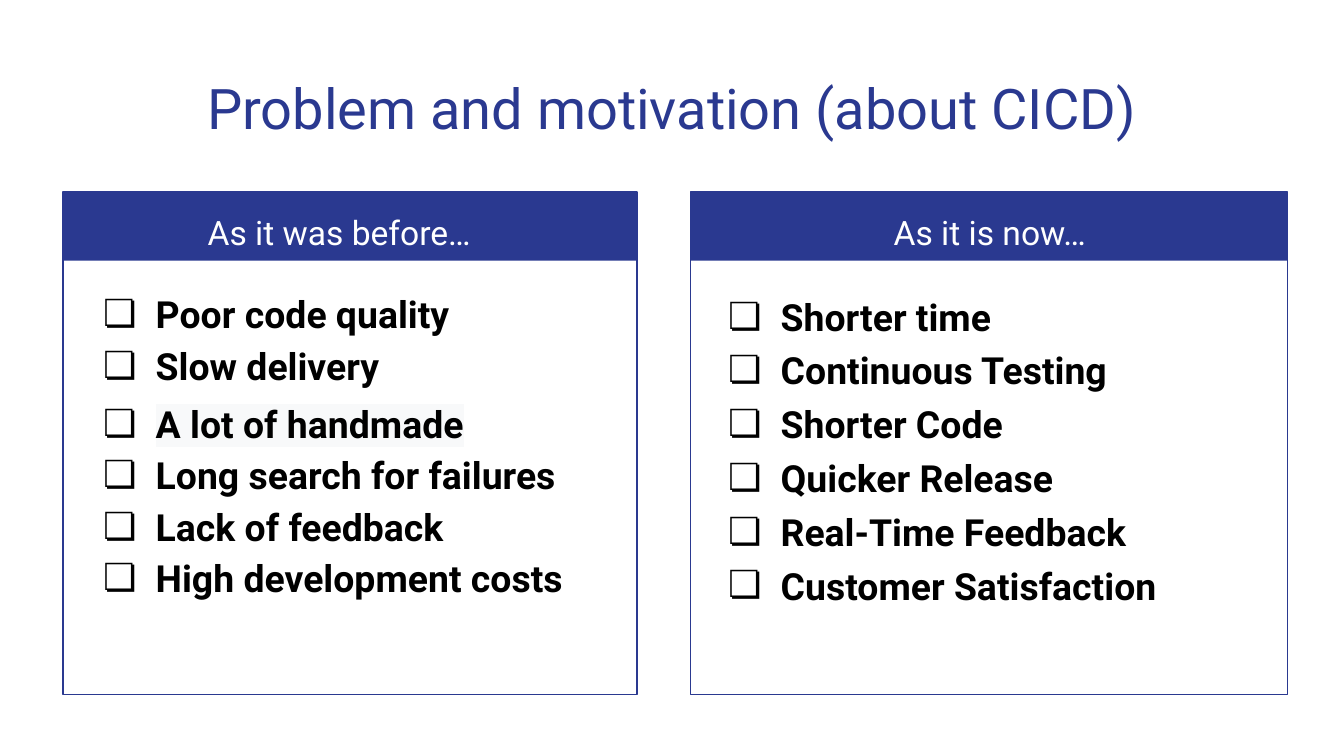
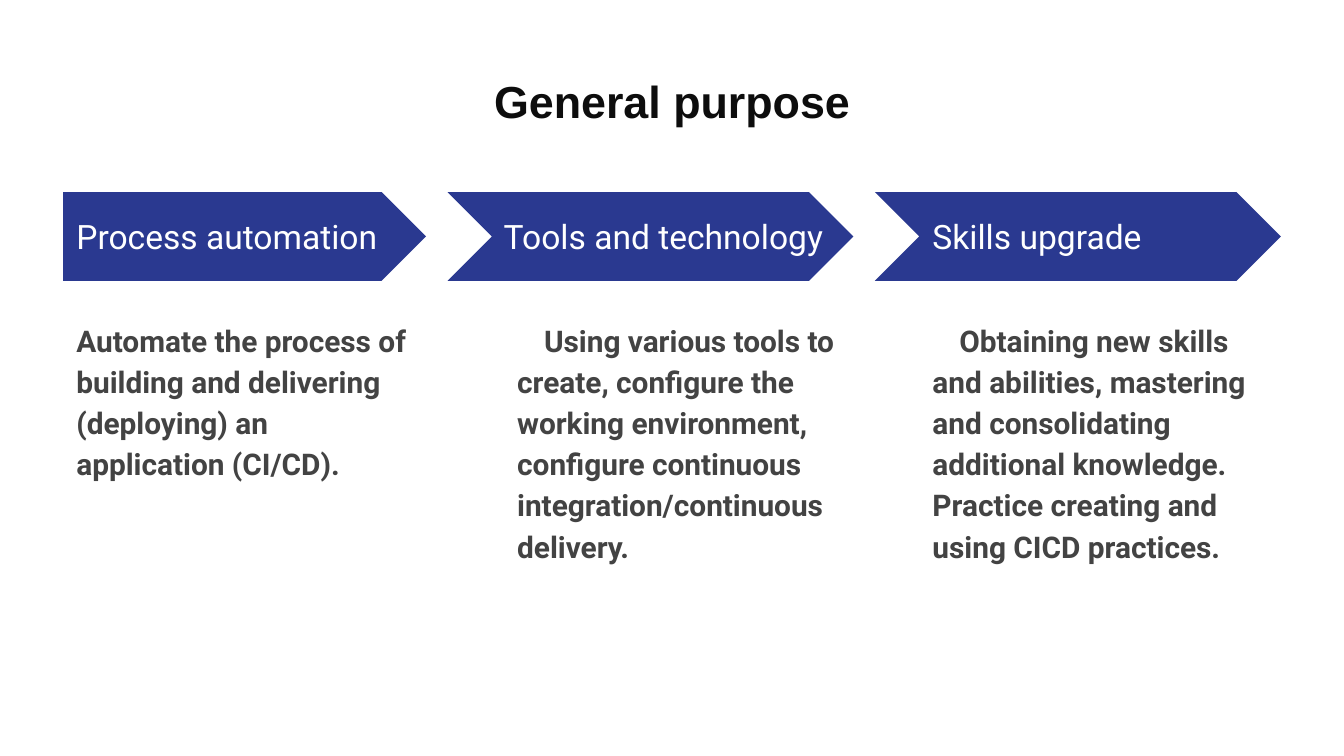
"""Build two slides on the motive and the purpose of CICD."""
from dataclasses import dataclass
from typing import Optional

from lxml.etree import SubElement as Sub
from pptx import Presentation as Deck
from pptx.dml.color import RGBColor as Rgb
from pptx.enum.shapes import MSO_SHAPE as Form
from pptx.enum.text import MSO_ANCHOR as Anchor, PP_ALIGN as Align
from pptx.oxml.ns import qn
from pptx.util import Inches, Pt

HUES = {
    "blue": "2A3990",
    "white": "FFFFFF",
    "black": "000000",
    "ink": "0D0D0D",
    "gray": "434343",
    "pale": "F8F9FA",
}
WIDE = Inches(10)
TALL = WIDE * 9 // 16
TOP = 1.43
BAND = 0.51
PANEL = 3.74
ARROW = 0.66


@dataclass(frozen=True)
class Style:
    size: int
    hue: str
    bold: bool = False
    font: str = "Roboto"


@dataclass(frozen=True)
class Line:
    text: str
    space: float = 1.0
    align: Align = Align.LEFT
    left: float = 0
    hang: float = 0
    before: int = 0
    after: int = 0
    mark: str = ""
    glow: str = ""


@dataclass(frozen=True)
class Panel:
    left: float
    width: float
    head: str
    head_left: float
    list_left: float
    list_tall: float
    items: list[Line]


@dataclass(frozen=True)
class Step:
    form: Form
    left: float
    width: float
    text_left: float
    head: str
    head_width: float
    tall: float
    body: Line


HEAD = Style(18, "white")
ITEM = Style(20, "black", True)
BODY = Style(16, "gray", True)


def old(text: str, space: float = 1.15, glow: str = "") -> Line:
    return Line(text, space, left=0.5, hang=-0.39, mark="❏", glow=glow)


def new(text: str, before: int = 0, hang: float = -0.39) -> Line:
    return Line(text, 1.2, left=0.39, hang=hang, before=before, mark="❏", glow="white")


def para(text: str, left: float = 0, hang: float = 0) -> Line:
    return Line(text, 1.15, left=left, hang=hang, after=8)


PANELS = [
    Panel(0.47, 4.27, "As it was before…", 1.16, 0.56, 3.06, [
        old("Poor code quality"),
        old("Slow delivery"),
        old("A lot of handmade", 1.29, "pale"),
        old("Long search for failures"),
        old("Lack of feedback"),
        old("High development costs"),
    ]),
    Panel(5.14, 4.44, "As it is now…", 6, 5.32, 2.31, [
        new("Shorter time", before=15),
        new("Continuous Testing", hang=-0.41),
        new("Shorter Code"),
        new("Quicker Release"),
        new("Real-Time Feedback"),
        new("Customer Satisfaction"),
    ]),
]

STEPS = [
    Step(Form.PENTAGON, 0.47, 2.7, 0.47, "Process automation", 2.47, 1.57,
         para("Automate the process of building and delivering (deploying) "
              "an application (CI/CD).")),
    Step(Form.CHEVRON, 3.33, 3.02, 3.65, "Tools and technology", 2.86, 2.9,
         para("Using various tools to create, configure the working environment, "
              "configure continuous integration/continuous delivery.", 0.1, 0.2)),
    Step(Form.CHEVRON, 6.51, 3.02, 6.84, "Skills upgrade", 2.47, 2.9,
         para("Obtaining new skills and abilities, mastering and consolidating "
              "additional knowledge. Practice creating and using CICD practices.",
              hang=0.2)),
]


def color(hue: str) -> Rgb:
    return Rgb.from_string(HUES[hue])


def box(left: float, top: float, width: float, tall: float) -> list[Inches]:
    return [Inches(n) for n in (left, top, width, tall)]


def add_line(p, line: Line, style: Style) -> None:
    p.alignment = line.align
    p.line_spacing = line.space
    p.space_before = Pt(line.before)
    p.space_after = Pt(line.after)
    props = p._p.get_or_add_pPr()
    props.set("marL", str(Inches(line.left)))
    props.set("indent", str(Inches(line.hang)))
    if line.mark:
        tint = Sub(props, qn("a:buClr"))
        Sub(tint, qn("a:srgbClr"), val=HUES[style.hue])
        Sub(props, qn("a:buFont"), typeface=style.font)
        Sub(props, qn("a:buChar"), char=line.mark)
    run = p.add_run()
    run.text = line.text
    font = run.font
    font.size = Pt(style.size)
    font.bold = style.bold
    font.color.rgb = color(style.hue)
    if line.glow:
        glow = Sub(run._r.get_or_add_rPr(), qn("a:highlight"))
        Sub(glow, qn("a:srgbClr"), val=HUES[line.glow])
    font.name = style.font


def add_text(slide, area: list[Inches], lines: list[Line], style: Style,
             anchor: Anchor = Anchor.TOP) -> None:
    frame = slide.shapes.add_textbox(*area).text_frame
    frame.word_wrap = True
    frame.vertical_anchor = anchor
    frame.margin_left = frame.margin_right = Inches(0.1)
    frame.margin_top = frame.margin_bottom = Inches(0.1)
    for i, line in enumerate(lines):
        add_line(frame.add_paragraph() if i else frame.paragraphs[0], line, style)


def add_form(shapes, form: Form, area: list[Inches],
             fill: Optional[str] = None, edge: Optional[str] = None) -> None:
    shape = shapes.add_shape(form, *area)
    shape.shadow.inherit = False
    if fill:
        shape.fill.solid()
        shape.fill.fore_color.rgb = color(fill)
    else:
        shape.fill.background()
    if edge:
        shape.line.color.rgb = color(edge)
        shape.line.width = Pt(0.75)
    else:
        shape.line.fill.background()


def add_slide(deck, title: str, style: Style):
    slide = deck.slides.add_slide(deck.slide_layouts[6])
    area = box(0.34, 0.45, 9.32, 0.66)
    add_text(slide, area, [Line(title, align=Align.CENTER)], style)
    return slide


def add_panel(slide, panel: Panel) -> None:
    group = slide.shapes.add_group_shape().shapes
    add_form(group, Form.RECTANGLE, box(panel.left, TOP, panel.width, BAND), fill="blue")
    add_form(group, Form.RECTANGLE, box(panel.left, TOP, panel.width, PANEL), edge="blue")
    head = Line(panel.head, 1.15, Align.CENTER)
    add_text(slide, box(panel.head_left, TOP, 2.73, 0.5), [head], HEAD)
    area = box(panel.list_left, 2.02, 4.11, panel.list_tall)
    add_text(slide, area, panel.items, ITEM)


def add_step(slide, step: Step) -> None:
    add_form(slide.shapes, step.form, box(step.left, TOP, step.width, ARROW), fill="blue")
    area = box(step.text_left, 1.59, step.head_width, 0.34)
    add_text(slide, area, [Line(step.head)], HEAD, Anchor.MIDDLE)
    add_text(slide, box(step.text_left, 2.26, 2.7, step.tall), [step.body], BODY)


def main() -> None:
    deck = Deck()
    deck.slide_width = WIDE
    deck.slide_height = TALL
    slide = add_slide(deck, "Problem and motivation (about CICD)", Style(30, "blue"))
    for panel in PANELS:
        add_panel(slide, panel)
    slide = add_slide(deck, "General purpose", Style(24, "ink", True, "Arial"))
    for step in STEPS:
        add_step(slide, step)
    deck.save("out.pptx")


if __name__ == "__main__":
    main()
